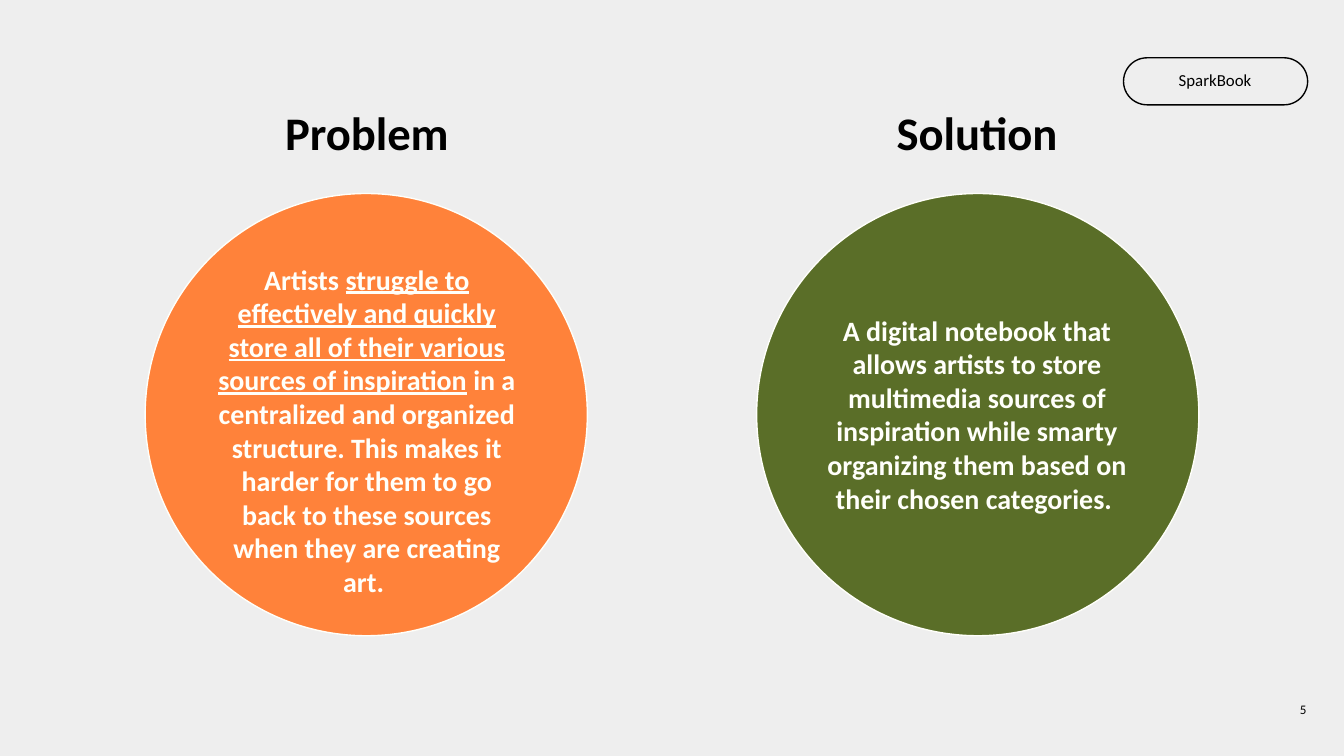
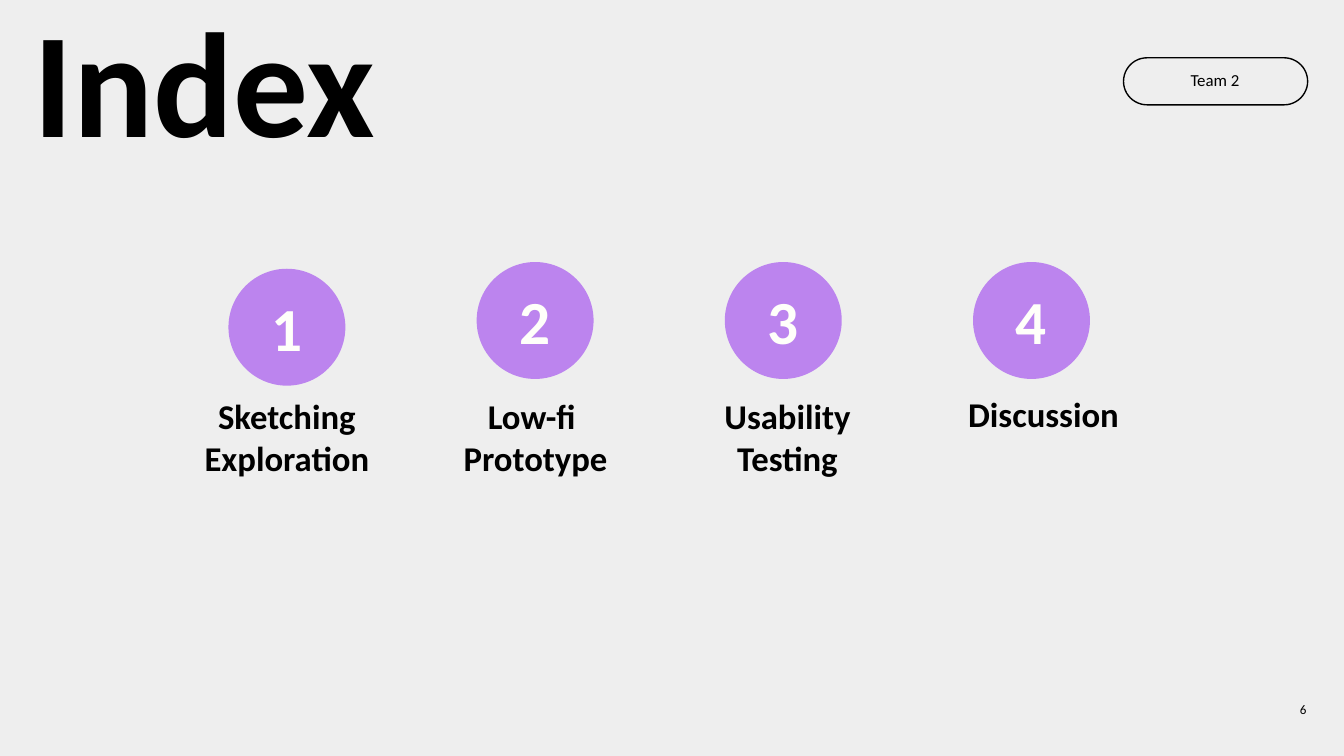
from pptx import Presentation
from pptx.dml.color import RGBColor as RGB
from pptx.enum.shapes import MSO_SHAPE as SHAPE
from pptx.enum.text import MSO_ANCHOR as ANCHOR, MSO_AUTO_SIZE as FIT, PP_ALIGN as ALIGN
from pptx.util import Inches, Pt

HUES = {
    "back": "EEEEEE", "ink": "000000", "pale": "FFFFFA",
    "orange": "FF823A", "green": "5A6E28", "purple": "BC84EE",
}


def write(box, paras, size, hue="ink", align=ALIGN.CENTER, inset=0.1,
          bold=True, space=None, anchor=ANCHOR.TOP):
    frame = box.text_frame
    frame.word_wrap = True
    frame.auto_size = FIT.NONE
    frame.vertical_anchor = anchor
    frame.margin_left = frame.margin_right = Inches(inset)
    frame.margin_top = frame.margin_bottom = Inches(inset)
    for n, runs in enumerate(paras):
        para = frame.paragraphs[0] if n == 0 else frame.add_paragraph()
        para.alignment = align
        para.space_before = Pt(0)
        if space:
            para.line_spacing = space
        para.font.name = "Calibri"
        para.font.size = Pt(size)
        para.font.bold = bold
        para.font.color.rgb = RGB.from_string(HUES[hue])
        for k, text in enumerate(runs):
            run = para.add_run()
            run.text = text
            if k % 2:
                run.font.underline = True


def draw(slide, kind, area, fill=None, line=None):
    shape = slide.shapes.add_shape(kind, *map(Inches, area))
    shape.shadow.inherit = False
    if fill:
        shape.fill.solid()
        shape.fill.fore_color.rgb = RGB.from_string(HUES[fill])
    else:
        shape.fill.background()
    if line:
        shape.line.color.rgb = RGB.from_string(HUES[line])
        shape.line.width = Pt(0.75)
    else:
        shape.line.fill.background()
    return shape


deck = Presentation()
deck.slide_width, deck.slide_height = Inches(10), Inches(10 * 9 / 16)
ground = deck.slide_master.background.fill
ground.solid()
ground.fore_color.rgb = RGB.from_string(HUES["back"])

pages = [
    (5, "SparkBook", "Problem", (0.69, 0.89, 4.08, 0.29), 25, ALIGN.CENTER),
    (6, "Team 2", "Index", (0.25, 0.28, 7.29, 0.94), 80, ALIGN.LEFT),
]
slides = []
for page, label, head, area, size, align in pages:
    slide = deck.slides.add_slide(deck.slide_layouts[5])
    slides.append(slide)
    title = slide.shapes.title
    title.left, title.top, title.width, title.height = map(Inches, area)
    write(title, [[head]], size, align=align, inset=0, space=0.7)
    box = slide.shapes.add_textbox(*map(Inches, (9.22, 5.06, 0.6, 0.43)))
    write(box, [[str(page)]], 7, align=ALIGN.RIGHT, bold=False, anchor=ANCHOR.MIDDLE)
    pill = draw(slide, SHAPE.ROUNDED_RECTANGLE, (8.36, 0.43, 1.37, 0.35), line="ink")
    pill.adjustments[0] = 0.5
    box = slide.shapes.add_textbox(*map(Inches, (8.45, 0.45, 1.18, 0.32)))
    write(box, [[label]], 9, bold=False, space=0.8, anchor=ANCHOR.MIDDLE)

pitch, steps = slides

box = pitch.shapes.add_textbox(*map(Inches, (5.23, 0.89, 4.08, 0.29)))
write(box, [["Solution"]], 25, inset=0, space=0.7)

discs = [
    (1.08, "orange", (1.5, 1.85, 2.46, 2.47), [
        "Artists ",
        "struggle to effectively and quickly store all of their various "
        "sources of inspiration",
        " in a centralized and organized structure. This makes it harder for "
        "them to go back to these sources when they are creating art. ",
    ]),
    (5.63, "green", (6.04, 2.23, 2.46, 1.72), [
        "A digital notebook that allows artists to store multimedia sources of "
        "inspiration while smarty organizing them based on their chosen categories. ",
    ]),
]
for left, fill, area, runs in discs:
    draw(pitch, SHAPE.OVAL, (left, 1.44, 3.29, 3.29), fill, "pale")
    box = pitch.shapes.add_textbox(*map(Inches, area))
    write(box, [runs], 15, "pale")

items = [
    (2, (1.4, 2.83, 1.47, 0.85), ["Sketching", "Exploration"]),
    (1.95, (3.33, 2.83, 1.31, 0.85), ["Low-fi ", "Prototype"]),
    (1.95, (5.28, 2.83, 1.16, 0.85), ["Usability ", "Testing"]),
    (1.95, (7.09, 2.81, 1.35, 0.53), ["Discussion"]),
]
for n, (top, area, words) in enumerate(items):
    left = 1.7 + n * 5.54 / 3
    draw(steps, SHAPE.OVAL, (left, top, 0.87, 0.87), "purple")
    box = steps.shapes.add_textbox(*map(Inches, (left + 0.05, top + 0.05, 0.77, 0.77)))
    write(box, [[str(n + 1)]], 32.8, "pale", inset=0.11)
    box = steps.shapes.add_textbox(*map(Inches, area))
    write(box, [[word] for word in words], 18.6, inset=0.11)

deck.save("out.pptx")
